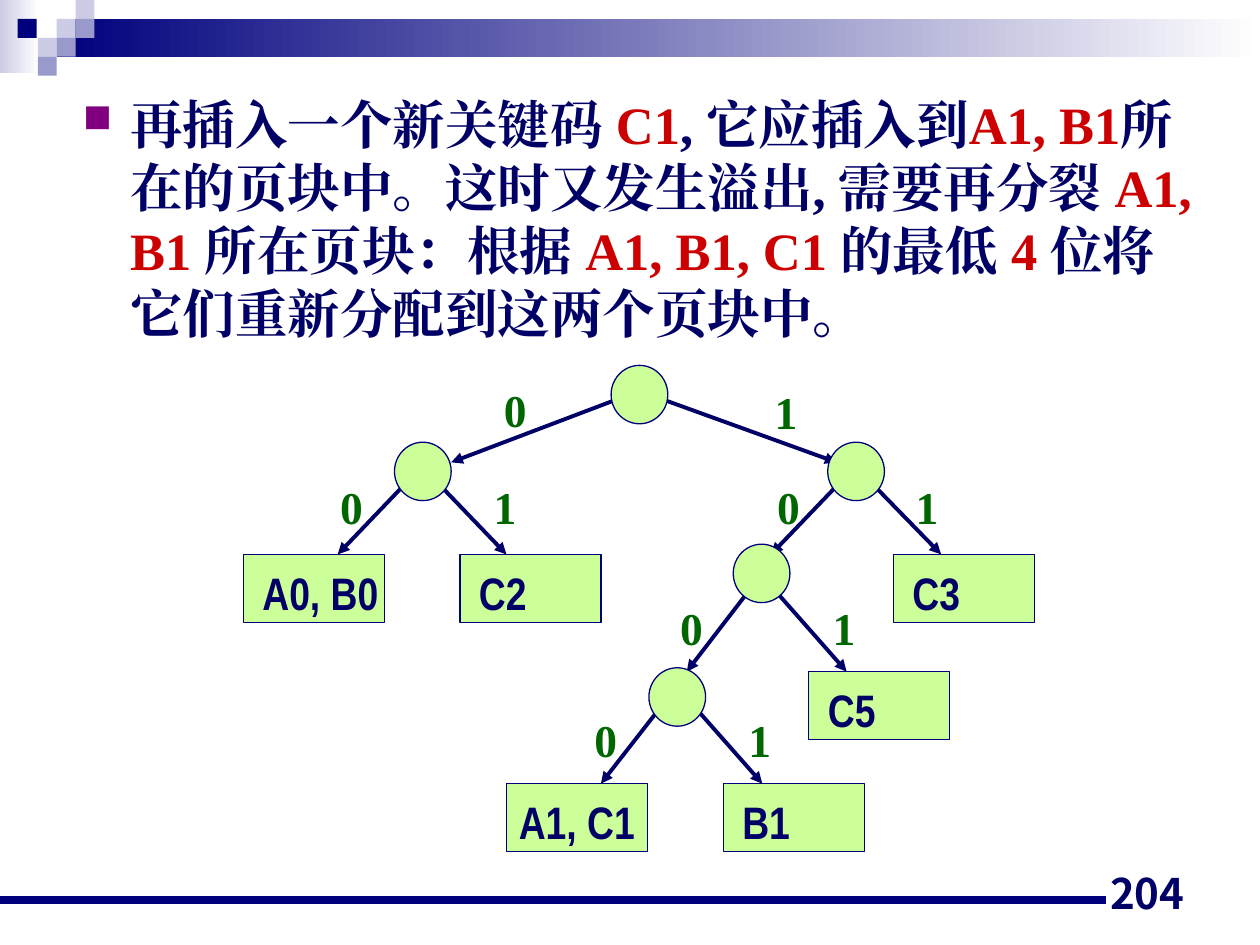
from typing import NamedTuple

from lxml import etree
from pptx import Presentation
from pptx.dml.color import RGBColor
from pptx.enum.shapes import MSO_CONNECTOR, MSO_SHAPE
from pptx.enum.text import MSO_ANCHOR, PP_ALIGN
from pptx.oxml.ns import qn
from pptx.util import Pt

RECTANGLE, OVAL = MSO_SHAPE.RECTANGLE, MSO_SHAPE.OVAL
STRAIGHT = MSO_CONNECTOR.STRAIGHT
LEFT, RIGHT = PP_ALIGN.LEFT, PP_ALIGN.RIGHT
TOP, BOTTOM = MSO_ANCHOR.TOP, MSO_ANCHOR.BOTTOM

COLORS = {
    "navy": "00007D", "lilac": "CCCCE6", "violet": "9999CC", "white": "FFFFFF",
    "ink": "000066", "red": "CC0000", "green": "006600", "lime": "CCFF99",
    "purple": "800080",
}
SERIF, NARROW, SANS = "Times New Roman", "Arial Narrow", "Noto Sans CJK JP"


class Area(NamedTuple):
    left: float
    top: float
    width: float
    height: float


class Square(NamedTuple):
    left: float
    top: float
    color: str


class Branch(NamedTuple):
    start: tuple[float, float]
    end: tuple[float, float]
    digit: str
    label: tuple[float, float]


class Leaf(NamedTuple):
    left: float
    top: float
    keys: str
    inset: float = 10.9


SQUARE_SIZE = 10.8
SQUARES = [
    Square(32.4, 10.8, "lilac"), Square(43.2, 0, "lilac"),
    Square(43.2, 10.8, "violet"), Square(21.6, 21.6, "lilac"),
    Square(10.1, 10.8, "navy"), Square(32.4, 21.6, "violet"),
    Square(21.6, 32.4, "violet"),
]
BRANCHES = [
    Branch((360, 225.4), (257.8, 264.2), "0", (280.8, 214.6)),
    Branch((370.8, 225.4), (478.1, 264.2), "1", (435.6, 216)),
    Branch((241.2, 266.4), (193, 316.8), "0", (187.2, 270)),
    Branch((236.2, 261.4), (289.4, 316.8), "1", (275, 270)),
    Branch((488.9, 266.4), (440.6, 316.8), "0", (437, 270)),
    Branch((483.8, 261.4), (537.8, 316.8), "1", (516.2, 270)),
    Branch((435.6, 327.6), (392.4, 383.8), "0", (381.6, 339.1)),
    Branch((429.8, 322.6), (483.8, 383.8), "1", (468.7, 339.1)),
    Branch((386.6, 392.4), (343.4, 447.8), "0", (332.6, 403.2)),
    Branch((381.6, 386.6), (435.6, 447.8), "1", (420.5, 403.2)),
]
NODES = [(349.2, 208.8), (225.4, 252.7), (473, 252.7), (419, 311), (370.8, 381.6)]
LEAVES = [
    Leaf(139, 316.8, "A0, B0"), Leaf(262.8, 316.8, "C2"),
    Leaf(510.5, 316.8, "C3"), Leaf(462.2, 383.8, "C5"),
    Leaf(289.4, 447.8, "A1, C1", 7.2), Leaf(413.3, 447.8, "B1"),
]
STATEMENT = [
    ("再插入一个新关键码 ", "ink"), ("C1", "red"), (", 它应插入到", "ink"),
    ("A1, B1", "red"), ("所在的页块中。这时又发生溢出, 需要再分裂 ", "ink"),
    ("A1, B1 ", "red"), ("所在页块：根据 ", "ink"), ("A1, B1, C1 ", "red"),
    ("的最低 ", "ink"), ("4 ", "red"), ("位将它们重新分配到这两个页块中。", "ink"),
]


def rgb(name: str) -> RGBColor:
    return RGBColor.from_string(COLORS[name])


def add_block(kind, area: Area, color: str, outline: str = ""):
    shape = page.shapes.add_shape(kind, *map(Pt, area))
    shape.shadow.inherit = False
    shape.fill.solid()
    shape.fill.fore_color.rgb = rgb(color)
    if outline:
        shape.line.color.rgb = rgb(outline)
        shape.line.width = Pt(0.75)
    else:
        shape.line.fill.background()
    return shape


def add_fade(area: Area, color: str) -> None:
    fill = add_block(RECTANGLE, area, color).fill
    fill.gradient()
    fill.gradient_angle = 180
    for stop, name in zip(fill.gradient_stops, ("white", color)):
        stop.color.rgb = rgb(name)


def add_line(start, end, color: str, width: float, arrow: bool = False) -> None:
    line = page.shapes.add_connector(STRAIGHT, *map(Pt, (*start, *end)))
    line.line.color.rgb = rgb(color)
    line.line.width = Pt(width)
    if arrow:
        etree.SubElement(line.line._get_or_add_ln(), qn("a:tailEnd"), type="triangle")
    etree.SubElement(line._element.spPr, qn("a:effectLst"))


def style_paragraph(para, font: str, size: float, color: str, align=LEFT) -> None:
    para.alignment = align
    para.font.name = font
    para.font.size = Pt(size)
    para.font.bold = True
    para.font.color.rgb = rgb(color)
    defaults = para._p.pPr.find(qn("a:defRPr"))
    etree.SubElement(defaults, qn("a:ea"), typeface=font)


def write(shape, text: str, font: str, size: float, color: str,
          align=LEFT, anchor=TOP) -> None:
    frame = shape.text_frame
    frame.word_wrap = False
    frame.vertical_anchor = anchor
    frame.text = text
    style_paragraph(frame.paragraphs[0], font, size, color, align)


def add_bullet(para) -> None:
    properties = para._p.get_or_add_pPr()
    properties.set("marL", str(Pt(27)))
    properties.set("indent", str(Pt(-27)))
    tint = etree.SubElement(properties, qn("a:buClr"))
    etree.SubElement(tint, qn("a:srgbClr"), val=COLORS["purple"])
    etree.SubElement(properties, qn("a:buSzPct"), val="75000")
    etree.SubElement(properties, qn("a:buChar"), char="■")


deck = Presentation()
deck.slide_width, deck.slide_height = Pt(720), Pt(540)
page = deck.slides.add_slide(deck.slide_layouts[6])

# Header band and footer rule
add_fade(Area(0, 0, 22.3, 41.8), "lilac")
add_fade(Area(32.4, 10.8, 687.6, 21.6), "navy")
for square in SQUARES:
    add_block(RECTANGLE, Area(square.left, square.top, SQUARE_SIZE, SQUARE_SIZE),
              square.color)
add_line((0, 514.1), (632.2, 514.1), "navy", 4.5)

# Statement
box = page.shapes.add_textbox(*map(Pt, (40.3, 49, 653.8, 203.8)))
box.text_frame.word_wrap = True
statement = box.text_frame.paragraphs[0]
add_bullet(statement)
statement.line_spacing = Pt(36)
style_paragraph(statement, SERIF, 30, "ink")
for text, color in STATEMENT:
    span = statement.add_run()
    span.text = text
    span.font.color.rgb = rgb(color)

# Tree: branches lie behind nodes and leaves
for branch in BRANCHES:
    add_line(branch.start, branch.end, "ink", 2.25, arrow=True)
for left, top in NODES:
    add_block(OVAL, Area(left, top, 32.4, 33.4), "lime", "navy")
for leaf in LEAVES:
    block = add_block(RECTANGLE, Area(leaf.left, leaf.top, 80.6, 38.9), "lime", "navy")
    write(block, leaf.keys, NARROW, 26, "ink")
    block.text_frame.margin_left = Pt(leaf.inset)
    block.text_frame.margin_top = Pt(6)
for branch in BRANCHES:
    box = page.shapes.add_textbox(*map(Pt, (*branch.label, 27.4, 38.9)))
    write(box, branch.digit, SERIF, 26, "green")

# Page number
box = page.shapes.add_textbox(*map(Pt, (516.2, 491.8, 167.8, 36)))
write(box, "204", SANS, 24, "ink", RIGHT, BOTTOM)
box.text_frame.word_wrap = True

deck.save("out.pptx")
